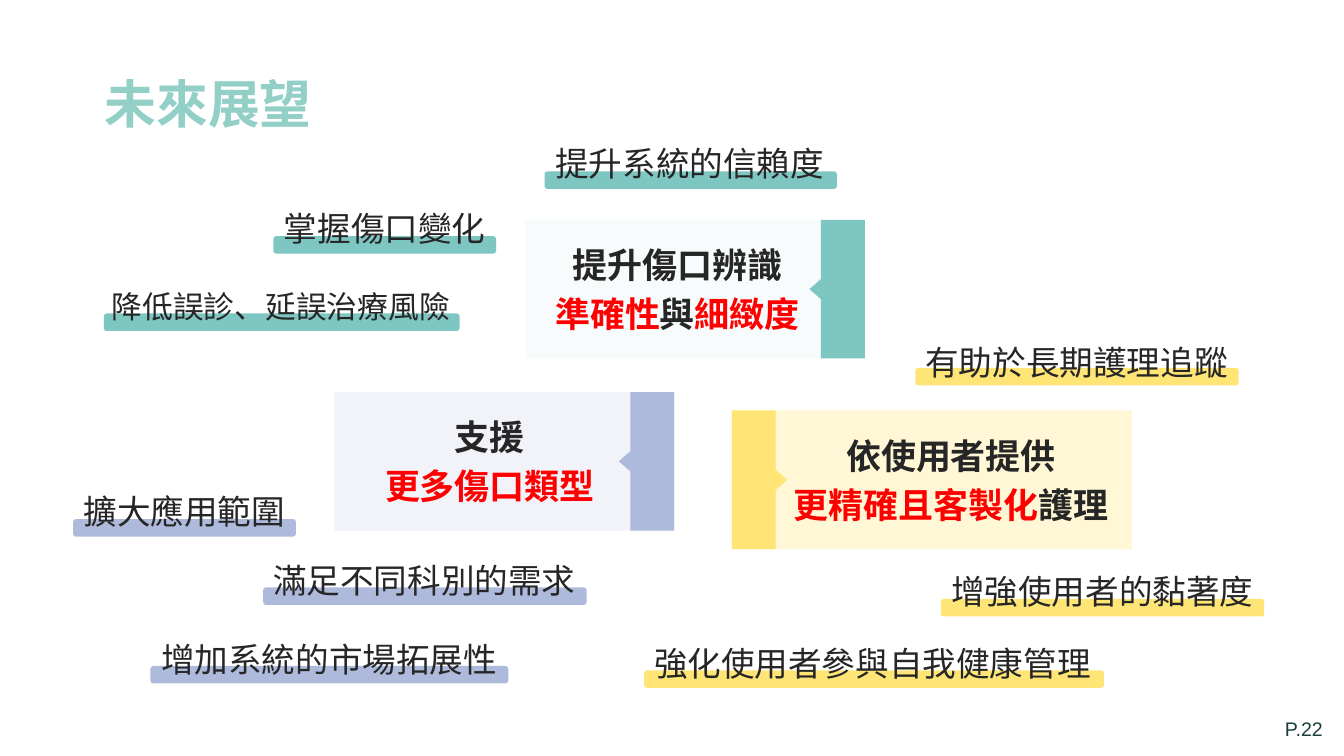
from pptx import Presentation
from pptx.dml.color import RGBColor
from pptx.enum.shapes import MSO_SHAPE
from pptx.enum.text import MSO_ANCHOR, PP_ALIGN
from pptx.oxml.ns import qn
from pptx.util import Pt

HUE = {
    "teal": "7EC6C1", "mint": "F7FBFB", "gold": "FFE575", "cream": "FFF7D5",
    "blue": "AEBADC", "pale": "F1F3F9", "title": "92CFC7", "page": "1B3D3B",
    "ink": "262626", "red": "FF0000",
}
CJK = "Noto Sans CJK TC"


def paint(shape, hue):
    shape.shadow.inherit = False
    shape.fill.solid()
    shape.fill.fore_color.rgb = RGBColor.from_string(HUE[hue])
    shape.line.fill.background()


def write(box, lines, size, face="Arial", bold=False, align=None, pitch=None):
    """Fill a text box; each line is a list of (words, hue) runs."""
    frame = slide.shapes.add_textbox(*[Pt(n) for n in box]).text_frame
    frame.word_wrap = True
    for i, line in enumerate(lines):
        para = frame.add_paragraph() if i else frame.paragraphs[0]
        if align is not None:
            para.alignment = align
        if pitch:
            para.line_spacing = Pt(pitch)
        if i:
            para.space_before = Pt(size * 0.2)
        for words, hue in line:
            run = para.add_run()
            run.text = words
            font = run.font
            font.name, font.size, font.bold = face, Pt(size), bold
            font.color.rgb = RGBColor.from_string(HUE[hue])
            east = font._element.makeelement(qn("a:ea"), {"typeface": CJK})
            font._element.find(qn("a:latin")).addnext(east)
    return frame


deck = Presentation()
deck.slide_width, deck.slide_height = Pt(960), Pt(540)
slide = deck.slides.add_slide(deck.slide_layouts[6])

# Title and page number
head = write((67.7, 47.5, 166.3, 49), [[("未來展望", "title")]], 37, bold=True)
head.word_wrap = False
write((910.8, 508.3, 53.3, 24.5), [[("P.22", "page")]], 14)

# Panels: left, top, width, fill, flag hue, flag side, text left, text width, lines
PANELS = [
    (375.2, 157, 242.6, "mint", "teal", "right", 380.2, 207.4,
     [[("提升傷口辨識", "ink")],
      [("準確性", "red"), ("與", "ink"), ("細緻度", "red")]]),
    (522.7, 293.2, 285.8, "cream", "gold", "left", 566.6, 225.4,
     [[("依使用者提供", "ink")],
      [("更精確且客製化", "red"), ("護理", "ink")]]),
    (239, 280, 242.6, "pale", "blue", "right", 248.4, 203,
     [[("支援", "ink")], [("更多傷口類型", "red")]]),
]
TALL, BAND, TIP, HALF = 99, 31.4, 39.6, 7.2
for left, top, wide, fill, hue, side, textx, textw, lines in PANELS:
    panel = slide.shapes.add_shape(
        MSO_SHAPE.RECTANGLE, Pt(left), Pt(top), Pt(wide), Pt(TALL))
    paint(panel, fill)

    # Flag with a notch that points into the panel
    edge, way = (left + wide, -1) if side == "right" else (left, 1)
    mid, low = top + TALL / 2, top + TALL
    inner = edge + way * BAND
    pen = slide.shapes.build_freeform(Pt(edge), Pt(top))
    pen.add_line_segments([(Pt(x), Pt(y)) for x, y in (
        (edge, low), (inner, low), (inner, mid + HALF),
        (edge + way * TIP, mid), (inner, mid - HALF), (inner, top))])
    paint(pen.convert_to_shape(), hue)

    frame = write((textx, top + 4.8, textw, 89.3), lines, 25,
                  bold=True, align=PP_ALIGN.CENTER, pitch=30)
    frame.vertical_anchor = MSO_ANCHOR.MIDDLE
    frame.margin_left = frame.margin_right = 0
    frame.margin_top = frame.margin_bottom = 0

# Labels: bar left, bar top, bar width, text left, text top, size, hue, words
LABELS = [
    (389, 122.4, 208.8, 389.5, 103.7, 24, "teal", "提升系統的信賴度"),
    (195.3, 168.7, 159, 195.8, 149.9, 24, "teal", "掌握傷口變化"),
    (74.2, 223.9, 254, 72.7, 204.5, 22, "teal", "降低誤診、延誤治療風險"),
    (653.8, 262.8, 231, 653.8, 245.5, 24, "gold", "有助於長期護理追蹤"),
    (672, 427.8, 231, 672.3, 409, 24, "gold", "增強使用者的黏著度"),
    (460.1, 478.8, 328.4, 460.1, 460.8, 24, "gold", "強化使用者參與自我健康管理"),
    (52.3, 370.8, 159, 52.6, 352.1, 24, "blue", "擴大應用範圍"),
    (188, 419.6, 231, 188, 401, 24, "blue", "滿足不同科別的需求"),
    (107.5, 475.7, 255.6, 108, 457.9, 24, "blue", "增加系統的市場拓展性"),
]
for left, top, wide, textx, texty, size, hue, words in LABELS:
    bar = slide.shapes.add_shape(
        MSO_SHAPE.ROUNDED_RECTANGLE, Pt(left), Pt(top), Pt(wide), Pt(12.5))
    paint(bar, hue)
    write((textx, texty, wide + 4, 31.7), [[(words, "ink")]], size,
          face=CJK, align=PP_ALIGN.JUSTIFY, pitch=24)

deck.save("out.pptx")
